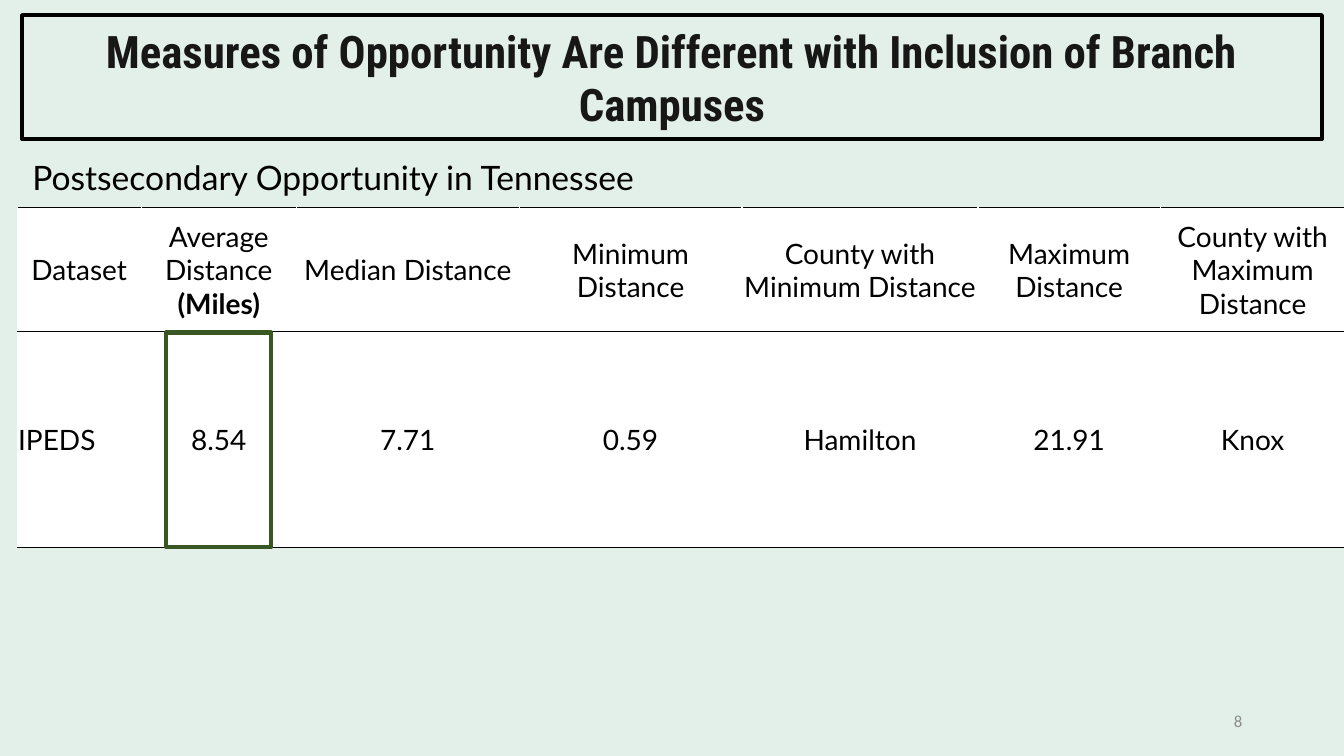
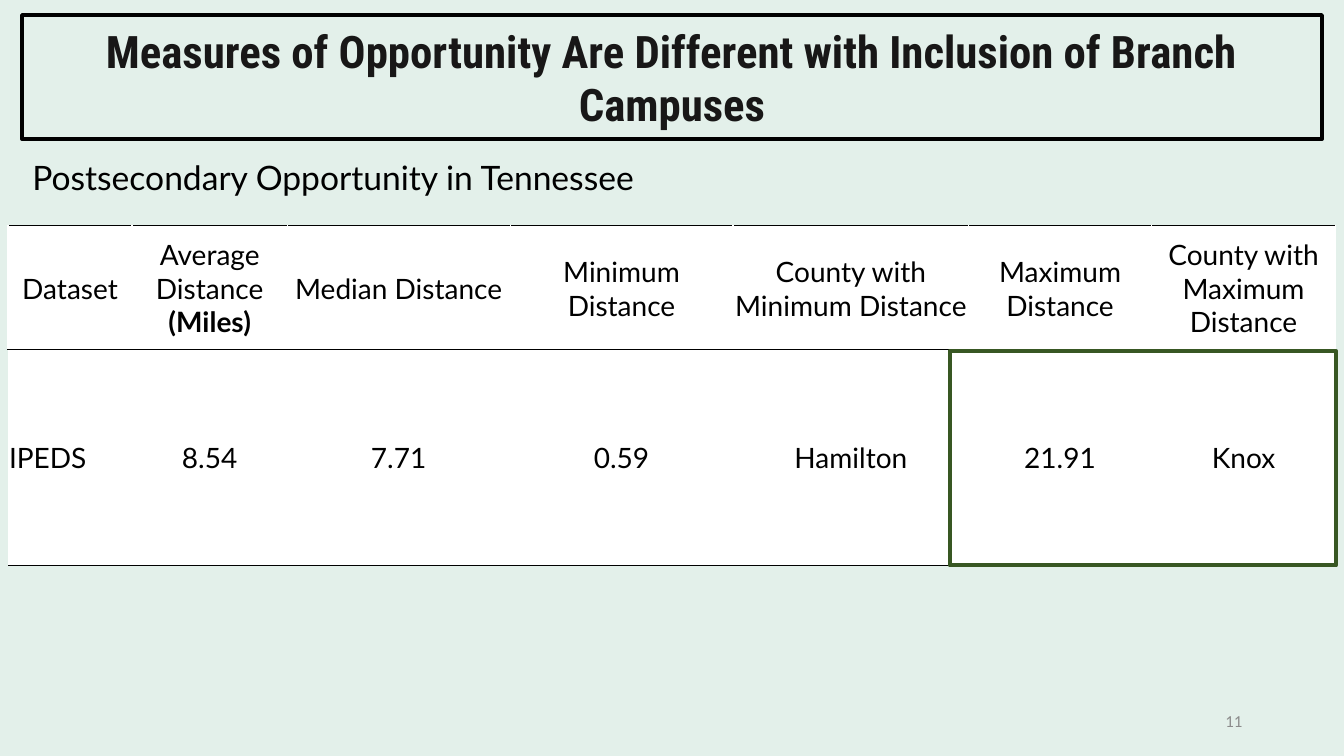
from pptx import Presentation
from pptx.dml.color import RGBColor
from pptx.enum.shapes import MSO_SHAPE
from pptx.enum.text import MSO_ANCHOR, MSO_AUTO_SIZE, PP_ALIGN
from pptx.oxml import parse_xml
from pptx.oxml.ns import nsdecls
from pptx.util import Inches, Pt

# Shared look
BACKGROUND, BLACK, WHITE = "E3F0EA", "000000", "FFFFFF"
TITLE_INK, NUMBER_GREY, HIGHLIGHT_GREEN = "181717", "8C8C8C", "385723"
TITLE_FONT, BODY_FONT, NUMBER_FONT = "Roboto Condensed", "Lato", "Calibri"
FRAME_LEFT, FRAME_WIDTH = 0.22, 12.89

# Shared content
TITLE = "Measures of Opportunity Are Different with Inclusion of Branch Campuses"
SUBTITLE = "Postsecondary Opportunity in Tennessee"
COLUMN_WIDTHS = [1.23, 1.54, 2.21, 2.21, 2.34, 1.81, 1.83]
HEADER_HEIGHT, DATA_HEIGHT = 1.23, 2.14
# Each cell is a list of paragraphs: (text, bold)
HEADER = [
    [("Dataset", False)],
    [("Average Distance", False), ("(Miles)", True)],
    [("Median Distance", False)],
    [("Minimum Distance", False)],
    [("County with Minimum Distance", False)],
    [("Maximum Distance", False)],
    [("County with Maximum Distance", False)],
]
VALUES = ["IPEDS", "8.54", "7.71", "0.59", "Hamilton", "21.91", "Knox"]
DATA = [[(value, False)] for value in VALUES]


def color(hex_text):
    return RGBColor.from_string(hex_text)


def place(shape, left, top, width, height):
    shape.left, shape.top = Inches(left), Inches(top)
    shape.width, shape.height = Inches(width), Inches(height)


def add_run(paragraph, text, size, font_name, ink=BLACK, bold=False):
    run = paragraph.add_run()
    run.text = text
    font = run.font
    font.size, font.name, font.bold = Pt(size), font_name, bold
    font.color.rgb = color(ink)


def outline(shape, ink):
    shape.fill.background()
    shape.line.color.rgb = color(ink)
    shape.line.width = Pt(3)


def prepare_frame(shape, anchor):
    frame = shape.text_frame
    frame.word_wrap = True
    frame.auto_size = MSO_AUTO_SIZE.NONE
    frame.vertical_anchor = anchor
    return frame.paragraphs[0]


def add_title(slide):
    title = slide.shapes.title
    place(title, FRAME_LEFT, 0.15, FRAME_WIDTH, 1.23)
    outline(title, BLACK)
    paragraph = prepare_frame(title, MSO_ANCHOR.MIDDLE)
    paragraph.alignment = PP_ALIGN.CENTER
    add_run(paragraph, TITLE, 32, TITLE_FONT, TITLE_INK, bold=True)


def add_subtitle(slide):
    body = slide.placeholders[1]
    place(body, FRAME_LEFT, 1.55, FRAME_WIDTH, 5.69)
    paragraph = prepare_frame(body, MSO_ANCHOR.TOP)
    properties = paragraph._p.get_or_add_pPr()
    properties.set("marL", "0")
    properties.set("indent", "0")
    properties.append(parse_xml(f"<a:buNone {nsdecls('a')}/>"))
    paragraph.line_spacing = 0.9
    paragraph.space_before = Pt(0)
    add_run(paragraph, SUBTITLE, 24, BODY_FONT)


def add_slide_number(slide, number):
    box = slide.shapes.add_textbox(Inches(9.42), Inches(6.95), Inches(3), Inches(0.4))
    paragraph = prepare_frame(box, MSO_ANCHOR.MIDDLE)
    paragraph.alignment = PP_ALIGN.RIGHT
    add_run(paragraph, str(number), 12, NUMBER_FONT, NUMBER_GREY)


def set_borders(cell, side_ink):
    """Black rules above and below; sides in side_ink, or none."""
    properties = cell._tc.get_or_add_tcPr()
    edges = [("L", side_ink), ("R", side_ink), ("T", BLACK), ("B", BLACK)]
    for position, (edge, ink) in enumerate(edges):
        paint = (f'<a:solidFill><a:srgbClr val="{ink}"/></a:solidFill>'
                 if ink else "<a:noFill/>")
        properties.insert(position, parse_xml(
            f'<a:ln{edge} {nsdecls("a")} w="{Pt(1)}">{paint}</a:ln{edge}>'))


def fill_cell(cell, paragraphs, alignment, side_ink):
    cell.fill.solid()
    cell.fill.fore_color.rgb = color(WHITE)
    set_borders(cell, side_ink)
    cell.vertical_anchor = MSO_ANCHOR.MIDDLE
    cell.margin_left = cell.margin_right = cell.margin_top = Inches(0.01)
    cell.margin_bottom = 0
    frame = cell.text_frame
    for index, (text, bold) in enumerate(paragraphs):
        paragraph = frame.add_paragraph() if index else frame.paragraphs[0]
        paragraph.alignment = alignment
        add_run(paragraph, text, 20, BODY_FONT, bold=bold)


def add_distance_table(slide, left, top):
    table = slide.shapes.add_table(
        2, len(COLUMN_WIDTHS), Inches(left), Inches(top),
        Inches(sum(COLUMN_WIDTHS)), Inches(HEADER_HEIGHT + DATA_HEIGHT)).table
    table.first_row = table.horz_banding = False
    for column, width in zip(table.columns, COLUMN_WIDTHS):
        column.width = Inches(width)
    for row, height in zip(table.rows, (HEADER_HEIGHT, DATA_HEIGHT)):
        row.height = Inches(height)
    for index, (heading, value) in enumerate(zip(HEADER, DATA)):
        fill_cell(table.cell(0, index), heading, PP_ALIGN.CENTER, WHITE)
        alignment = PP_ALIGN.CENTER if index else PP_ALIGN.LEFT
        fill_cell(table.cell(1, index), value, alignment, None)


def add_highlight(slide, left, table_top, width):
    top = table_top + HEADER_HEIGHT + 0.01
    marker = slide.shapes.add_shape(
        MSO_SHAPE.RECTANGLE, Inches(left), Inches(top), Inches(width), Inches(2.13))
    marker.shadow.inherit = False
    outline(marker, HIGHLIGHT_GREEN)


def add_opportunity_slide(prs, number, table_at, highlight_left, highlight_width):
    slide = prs.slides.add_slide(prs.slide_layouts[1])
    add_title(slide)
    add_subtitle(slide)
    add_slide_number(slide, number)
    add_distance_table(slide, *table_at)
    add_highlight(slide, highlight_left, table_at[1], highlight_width)


def main():
    prs = Presentation()
    prs.slide_width, prs.slide_height = Inches(13.33), Inches(7.5)
    background = prs.slide_master.background.fill
    background.solid()
    background.fore_color.rgb = color(BACKGROUND)

    # Average distance
    add_opportunity_slide(prs, 8, (0.17, 2.06), 1.65, 1.04)
    # Maximum distance and its county
    add_opportunity_slide(prs, 11, (0.08, 2.24), 9.42, 3.83)

    prs.save("out.pptx")


if __name__ == "__main__":
    main()
